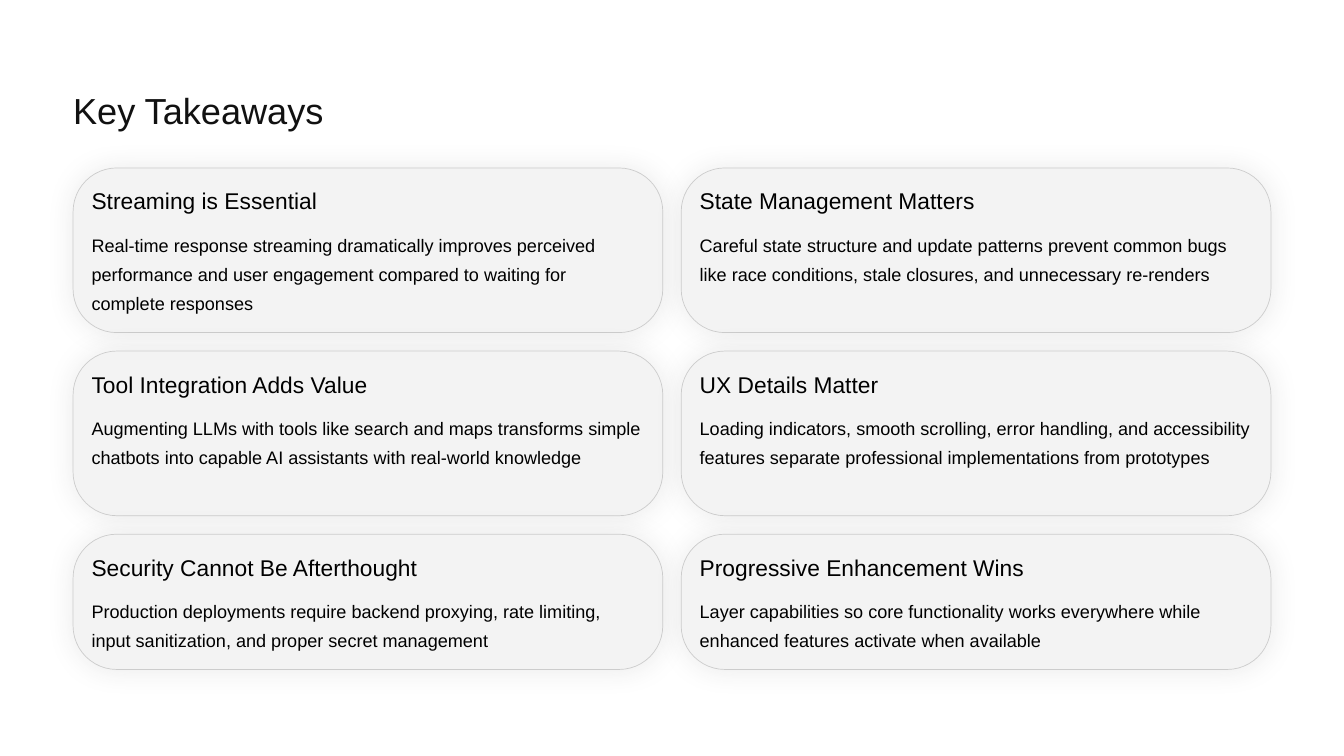
from dataclasses import dataclass

from lxml import etree
from pptx import Presentation
from pptx.dml.color import RGBColor
from pptx.enum import shapes, text
from pptx.oxml.ns import qn
from pptx.util import Inches, Pt

TITLE = "Key Takeaways"
TAKEAWAY_ROWS = [
    [("Streaming is Essential",
      "Real-time response streaming dramatically improves perceived performance "
      "and user engagement compared to waiting for complete responses"),
     ("State Management Matters",
      "Careful state structure and update patterns prevent common bugs like race "
      "conditions, stale closures, and unnecessary re-renders")],
    [("Tool Integration Adds Value",
      "Augmenting LLMs with tools like search and maps transforms simple chatbots "
      "into capable AI assistants with real-world knowledge"),
     ("UX Details Matter",
      "Loading indicators, smooth scrolling, error handling, and accessibility "
      "features separate professional implementations from prototypes")],
    [("Security Cannot Be Afterthought",
      "Production deployments require backend proxying, rate limiting, input "
      "sanitization, and proper secret management"),
     ("Progressive Enhancement Wins",
      "Layer capabilities so core functionality works everywhere while enhanced "
      "features activate when available")],
]
ROW_HEIGHTS = [1.96, 1.96, 1.61]


@dataclass(frozen=True)
class TextStyle:
    size: float
    leading: float
    color: str


@dataclass(frozen=True)
class Theme:
    font: str = "Arial"
    background: str = "FFFFFF"
    card: str = "F3F3F3"
    border: str = "CCCCCC"
    border_width: float = 0.6
    shadow: str = "333333"
    shadow_blur: float = 23.4
    shadow_opacity: int = 10
    title: TextStyle = TextStyle(31, 39, "111111")
    heading: TextStyle = TextStyle(19.5, 24, "000000")
    body: TextStyle = TextStyle(15.5, 25, "000000")


THEME = Theme()
LEFT, TOP = 0.87, 2.0
CARD_WIDTH, GAP, RADIUS = 7.02, 0.22, 0.52
PADDING, BODY_OFFSET = 0.22, 0.7
TEXT_WIDTH = 6.57


def rgb(color):
    return RGBColor.from_string(color)


def write(holder, content, style):
    frame = holder.text_frame
    frame.text = content
    frame_format = {
        "margin_left": 0, "margin_right": 0, "margin_top": 0, "margin_bottom": 0,
        "word_wrap": True, "auto_size": text.MSO_AUTO_SIZE.NONE,
        "vertical_anchor": text.MSO_ANCHOR.TOP,
    }
    for attribute, value in frame_format.items():
        setattr(frame, attribute, value)
    paragraph = frame.paragraphs[0]
    paragraph.alignment = text.PP_ALIGN.LEFT
    paragraph.line_spacing = Pt(style.leading)
    font = paragraph.runs[0].font
    font.name, font.size = THEME.font, Pt(style.size)
    font.color.rgb = rgb(style.color)


def add_glow(card):
    """Give the card a soft, centred shadow."""
    card.shadow.inherit = False
    effects = card._element.spPr.find(qn("a:effectLst"))
    shadow = etree.SubElement(effects, qn("a:outerShdw"), dist="0", dir="0",
                              blurRad=str(int(Pt(THEME.shadow_blur))),
                              algn="ctr", rotWithShape="0")
    color = etree.SubElement(shadow, qn("a:srgbClr"), val=THEME.shadow)
    etree.SubElement(color, qn("a:alpha"), val=str(THEME.shadow_opacity * 1000))


def add_takeaway(slide, left, top, height, heading, body):
    card = slide.shapes.add_shape(
        shapes.MSO_SHAPE.ROUNDED_RECTANGLE,
        Inches(left), Inches(top), Inches(CARD_WIDTH), Inches(height))
    card.adjustments[0] = RADIUS / height
    card.fill.solid()
    card.fill.fore_color.rgb = rgb(THEME.card)
    card.line.color.rgb = rgb(THEME.border)
    card.line.width = Pt(THEME.border_width)
    add_glow(card)

    parts = [
        (heading, THEME.heading, PADDING, 0.34),
        (body, THEME.body, BODY_OFFSET, height - BODY_OFFSET - PADDING),
    ]
    for content, style, offset, part_height in parts:
        box = slide.shapes.add_textbox(
            Inches(left + PADDING), Inches(top + offset),
            Inches(TEXT_WIDTH), Inches(part_height))
        write(box, content, style)


def main():
    deck = Presentation()
    deck.slide_width, deck.slide_height = Inches(16), Inches(9)
    slide = deck.slides.add_slide(deck.slide_layouts[5])
    slide.background.fill.solid()
    slide.background.fill.fore_color.rgb = rgb(THEME.background)

    title = slide.shapes.title
    title.left, title.top = Inches(LEFT), Inches(1.03)
    title.width, title.height = Inches(4.34), Inches(0.54)
    write(title, TITLE, THEME.title)

    top = TOP
    for takeaways, height in zip(TAKEAWAY_ROWS, ROW_HEIGHTS):
        for column, (heading, body) in enumerate(takeaways):
            left = LEFT + column * (CARD_WIDTH + GAP)
            add_takeaway(slide, left, top, height, heading, body)
        top += height + GAP

    deck.save("out.pptx")


if __name__ == "__main__":
    main()
